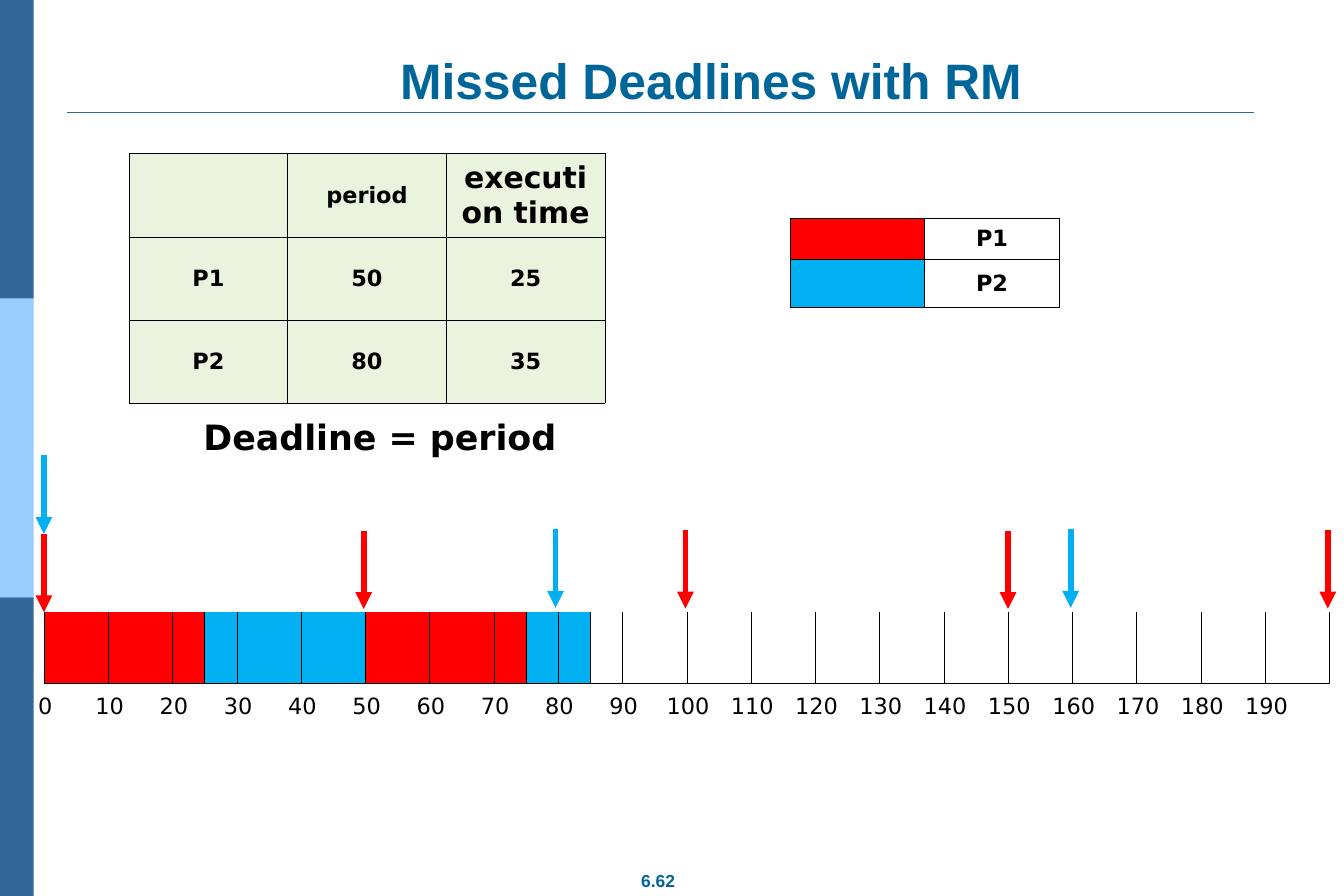
from lxml.etree import SubElement
from pptx import Presentation
from pptx.dml.color import RGBColor
from pptx.enum.shapes import MSO_CONNECTOR, MSO_SHAPE
from pptx.enum.text import MSO_ANCHOR, PP_ALIGN
from pptx.oxml import parse_xml
from pptx.oxml.ns import nsdecls, qn
from pptx.util import Pt

COLORS = {
    "navy": "336699", "sky": "99CCFF", "title": "006699", "black": "000000",
    "red": "FF0000", "blue": "00B0F0", "green": "EAF3DD",
}
PLAIN = "{2D5ABB26-0587-4C30-8999-92F81FD0307C}"


class Board:
    """Holds the style and the current slide."""

    head = "Arial"
    body = "DejaVu Sans"

    def __init__(self, slide):
        self.slide = slide
        self.shapes = slide.shapes

    def color(self, name):
        return RGBColor.from_string(COLORS[name])

    def style(self, para, size, bold=False, color="black", face=None,
              align=PP_ALIGN.CENTER):
        para.alignment = align
        font = para.font
        font.name, font.size, font.bold = face or self.body, Pt(size), bold
        font.color.rgb = self.color(color)

    def title(self, text, x, y, w, h):
        box = self.shapes.title
        box.left, box.top, box.width, box.height = Pt(x), Pt(y), Pt(w), Pt(h)
        frame = box.text_frame
        frame.text = text
        frame.vertical_anchor = MSO_ANCHOR.BOTTOM
        frame.margin_left = frame.margin_right = Pt(10)
        frame.margin_top = frame.margin_bottom = Pt(5)
        self.style(frame.paragraphs[0], 40, True, "title", self.head)

    def text(self, text, x, y, w, h, size, wrap=True, **look):
        box = self.shapes.add_textbox(Pt(x), Pt(y), Pt(w), Pt(h))
        frame = box.text_frame
        frame.word_wrap = wrap
        frame.text = text
        self.style(frame.paragraphs[0], size, True, **look)
        return frame

    def bar(self, x, y, w, h, color):
        rect = self.shapes.add_shape(
            MSO_SHAPE.RECTANGLE, Pt(x), Pt(y), Pt(w), Pt(h))
        rect.shadow.inherit = False
        rect.fill.solid()
        rect.fill.fore_color.rgb = self.color(color)
        rect.line.fill.background()

    def line(self, x1, y1, x2, y2, color, width, arrow=False):
        link = self.shapes.add_connector(
            MSO_CONNECTOR.STRAIGHT, Pt(x1), Pt(y1), Pt(x2), Pt(y2))
        link.line.color.rgb = self.color(color)
        link.line.width = Pt(width)
        if arrow:
            SubElement(link.line._get_or_add_ln(), qn("a:tailEnd"),
                       type="triangle")
        SubElement(link._element.spPr, qn("a:effectLst"))

    def edge(self, cell, sides):
        props = cell._tc.get_or_add_tcPr()
        for spot, side in enumerate(sides):
            props.insert(spot, parse_xml(
                f'<a:ln{side} {nsdecls("a")} w="6350"><a:solidFill>'
                f'<a:srgbClr val="{COLORS["black"]}"/></a:solidFill></a:ln{side}>'))

    def table(self, x, y, cols, rows, texts, fills, sides="LRTB", bold=True,
              sizes=None):
        """Fills holds one colour name or None for each cell."""
        grid = self.shapes.add_table(
            len(rows), len(cols), Pt(x), Pt(y), Pt(sum(cols)), Pt(sum(rows))).table
        grid._tbl.tblPr.find(qn("a:tableStyleId")).text = PLAIN
        grid.first_row = grid.horz_banding = False
        for col, width in zip(grid.columns, cols):
            col.width = Pt(width)
        for row, height in zip(grid.rows, rows):
            row.height = Pt(height)
        for r in range(len(rows)):
            for c in range(len(cols)):
                cell = grid.cell(r, c)
                cell.vertical_anchor = MSO_ANCHOR.MIDDLE
                if texts[r][c]:
                    cell.text = texts[r][c]
                size = (sizes or {}).get((r, c), 18)
                self.style(cell.text_frame.paragraphs[0], size, bold)
                if fills[r][c]:
                    cell.fill.solid()
                    cell.fill.fore_color.rgb = self.color(fills[r][c])
                else:
                    cell.fill.background()
                self.edge(cell, sides)


def main():
    deck = Presentation()
    deck.slide_width, deck.slide_height = Pt(1080), Pt(720)
    board = Board(deck.slides.add_slide(deck.slide_layouts[5]))

    # Side band, rule and page number
    for i, color in enumerate(("navy", "sky", "navy")):
        board.bar(0, i * 240, 27, 240, color)
    board.line(54, 90.4, 1008, 90.4, "navy", 1.5)
    page = board.text("6.62", 504, 694, 49.7, 27.4, 14, wrap=False,
                      color="title", face=board.head)
    page.margin_left = page.margin_right = Pt(10)
    page.margin_top = page.margin_bottom = Pt(5)

    # Title
    board.title("Missed Deadlines with RM", 94.3, 28.8, 954, 64)

    # Task table
    tasks = [["", "period", "execution time"],
             ["P1", "50", "25"],
             ["P2", "80", "35"]]
    board.table(103.7, 123.5, [127.5] * 3, [66.8] * 3, tasks,
                [["green"] * 3] * 3, sizes={(0, 2): 24})

    # Timeline: ten units a column, split where the running task changes
    unit, start = 5.166, 35.4
    marks = sorted({*range(0, 201, 10), 25, 75, 85})
    runs = [(25, "red"), (50, "blue"), (75, "red"), (85, "blue"), (200, None)]
    cols = [(b - a) * unit for a, b in zip(marks, marks[1:])]
    fills = [next(color for end, color in runs if a < end) for a in marks[:-1]]
    board.table(start, 491.8, cols, [56.9], [[""] * len(cols)], [fills], "LRB")

    # Time labels, centred under the ticks
    times = [str(t) for t in range(0, 200, 10)]
    board.table(start - 5 * unit + 1, 534, [10 * unit] * 20, [68.4], [times],
                [[None] * 20], "", bold=False)

    # Release arrows: x, top, colour
    arrows = [(292.3, 426.4, "red"), (550.8, 426, "red"), (810, 426.4, "red"),
              (1067, 426, "red"), (35.3, 429, "red"), (446.4, 425.4, "blue"),
              (35.3, 366, "blue"), (860.4, 425.4, "blue")]
    for x, top, color in arrows:
        board.line(x, top, x, top + 63, color, 4.5, arrow=True)

    # Legend
    board.table(634.7, 175.5, [108.3] * 2, [33, 38.4],
                [["", "P1"], ["", "P2"]], [["red", None], ["blue", None]])

    # Deadline note
    board.text("Deadline = period", 156.4, 330.6, 305, 41, 28,
               align=PP_ALIGN.LEFT)

    deck.save("out.pptx")


if __name__ == "__main__":
    main()
